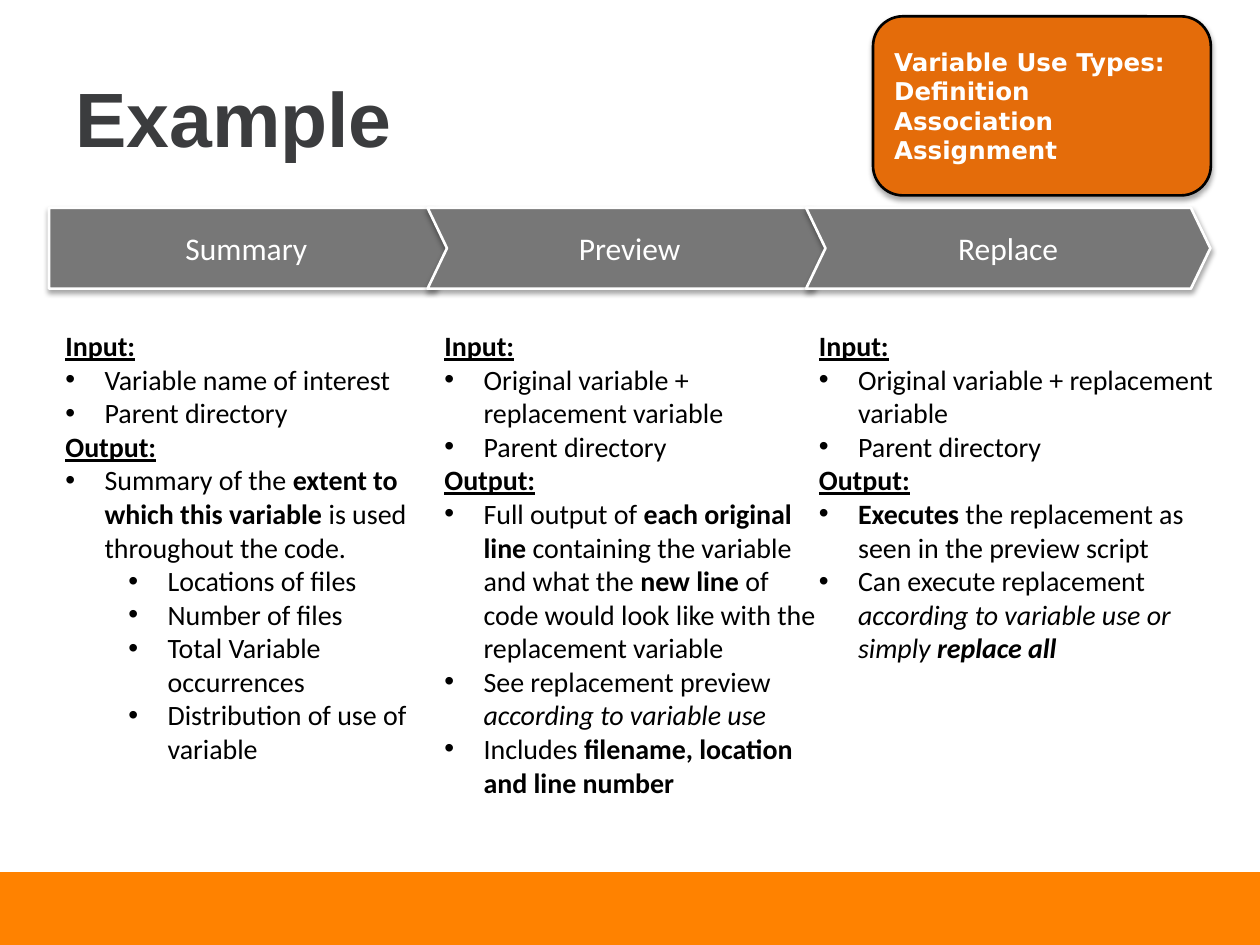
from lxml.etree import SubElement
from pptx import Presentation
from pptx.dml.color import RGBColor
from pptx.enum.shapes import MSO_SHAPE as Preset
from pptx.enum.text import MSO_ANCHOR as Anchor, MSO_AUTO_SIZE as AutoSize, PP_ALIGN as Align
from pptx.oxml.ns import qn
from pptx.util import Cm, Pt

rgb = RGBColor.from_string


def write(paragraph, text, size=16, font="Calibri", color="000000", style=""):
    run = paragraph.add_run()
    run.text = text
    run.font.size = Pt(size)
    run.font.name = font
    run.font.color.rgb = rgb(color)
    run.font.bold = "b" in style
    run.font.italic = "i" in style
    run.font.underline = "u" in style


def add_panel(preset, left, top, width, height, fill, line):
    panel = slide.shapes.add_shape(preset, Cm(left), Cm(top), Cm(width), Cm(height))
    panel.fill.solid()
    panel.fill.fore_color.rgb = rgb(fill)
    panel.line.color.rgb = rgb(line)
    panel.line.width = Pt(1.5)
    panel.shadow.inherit = False
    effects = panel._element.spPr.find(qn("a:effectLst"))
    shadow = SubElement(effects, qn("a:outerShdw"), blurRad=str(Pt(3.1)),
                        dist=str(Pt(1.8)), dir="5400000", rotWithShape="0")
    black = SubElement(shadow, qn("a:srgbClr"), val="000000")
    SubElement(black, qn("a:alpha"), val="35000")
    panel.text_frame.vertical_anchor = Anchor.MIDDLE
    return panel


deck = Presentation()
deck.slide_width, deck.slide_height = Cm(25.4), Cm(19.05)
slide = deck.slides.add_slide(deck.slide_layouts[6])

footer = slide.shapes.add_shape(Preset.RECTANGLE, 0, Cm(17.58), Cm(25.4), Cm(1.47))
footer.fill.solid()
footer.fill.fore_color.rgb = rgb("FF8200")
footer.line.fill.background()
footer.shadow.inherit = False

title = slide.shapes.add_textbox(Cm(1.27), Cm(0.76), Cm(22.86), Cm(3.18)).text_frame
title.word_wrap = True
title.vertical_anchor = Anchor.MIDDLE
write(title.paragraphs[0], "Example", size=44, font="Arial", color="3B3C3E", style="b")

for index, step_name in enumerate(["Summary", "Preview", "Replace"]):
    preset = Preset.CHEVRON if index else Preset.PENTAGON
    step = add_panel(preset, 0.99 + index * 7.63, 4.19, 8.15, 1.63, "777777", "FFFFFF")
    step.adjustments[0] = 0.24
    step_label = step.text_frame.paragraphs[0]
    step_label.alignment = Align.CENTER
    write(step_label, step_name, size=18, color="FFFFFF")

use_types = add_panel(Preset.ROUNDED_RECTANGLE, 17.6, 0.33, 6.81, 3.61, "E46C0A", "000000").text_frame
use_types.word_wrap = True
for index, use_type in enumerate(["Variable Use Types:", "Definition", "Association", "Assignment"]):
    entry = use_types.add_paragraph() if index else use_types.paragraphs[0]
    entry.alignment = Align.LEFT
    write(entry, use_type, size=14, font="DejaVu Sans", color="FFFFFF", style="b")

input_heading = (None, [("Input:", "bu")])
output_heading = (None, [("Output:", "bu")])
parent_directory = (0, [("Parent directory", "")])
both_variables = (0, [("Original variable + replacement variable", "")])

summary_details = [
    input_heading,
    (0, [("Variable name of interest", "")]),
    parent_directory,
    output_heading,
    (0, [("Summary of the ", ""), ("extent to which this variable", "b"),
         (" is used throughout the code.", "")]),
    (1, [("Locations of files", "")]),
    (1, [("Number of files", "")]),
    (1, [("Total Variable occurrences", "")]),
    (1, [("Distribution of use of variable", "")]),
]
preview_details = [
    input_heading,
    both_variables,
    parent_directory,
    output_heading,
    (0, [("Full output of ", ""), ("each original line", "b"),
         (" containing the variable and what the ", ""), ("new line", "b"),
         (" of code would look like with the replacement variable", "")]),
    (0, [("See replacement preview ", ""), ("according to variable use", "i")]),
    (0, [("Includes ", ""), ("filename, location and line number", "b")]),
]
replace_details = [
    input_heading,
    both_variables,
    parent_directory,
    output_heading,
    (0, [("Executes", "b"), (" the replacement as seen in the preview script", "")]),
    (0, [("Can execute replacement ", ""), ("according to variable use or simply ", "i"),
         ("replace all", "bi")]),
]

for left, width, height, details in [
    (1.07, 7.87, 9.91, summary_details),
    (8.71, 8.08, 10.59, preview_details),
    (16.26, 8.48, 8.46, replace_details),
]:
    column = slide.shapes.add_textbox(Cm(left), Cm(6.5), Cm(width), Cm(height)).text_frame
    column.word_wrap = True
    column.auto_size = AutoSize.SHAPE_TO_FIT_TEXT
    for index, (level, runs) in enumerate(details):
        detail = column.add_paragraph() if index else column.paragraphs[0]
        if level is not None:
            detail.level = level
            bullet = detail._p.get_or_add_pPr()
            bullet.set("marL", str(Cm(0.79 + 1.27 * level)))
            bullet.set("indent", str(-Cm(0.79)))
            SubElement(bullet, qn("a:buFont"), typeface="Arial")
            SubElement(bullet, qn("a:buChar"), char="•")
        for text, style in runs:
            write(detail, text, style=style)

deck.save("out.pptx")
